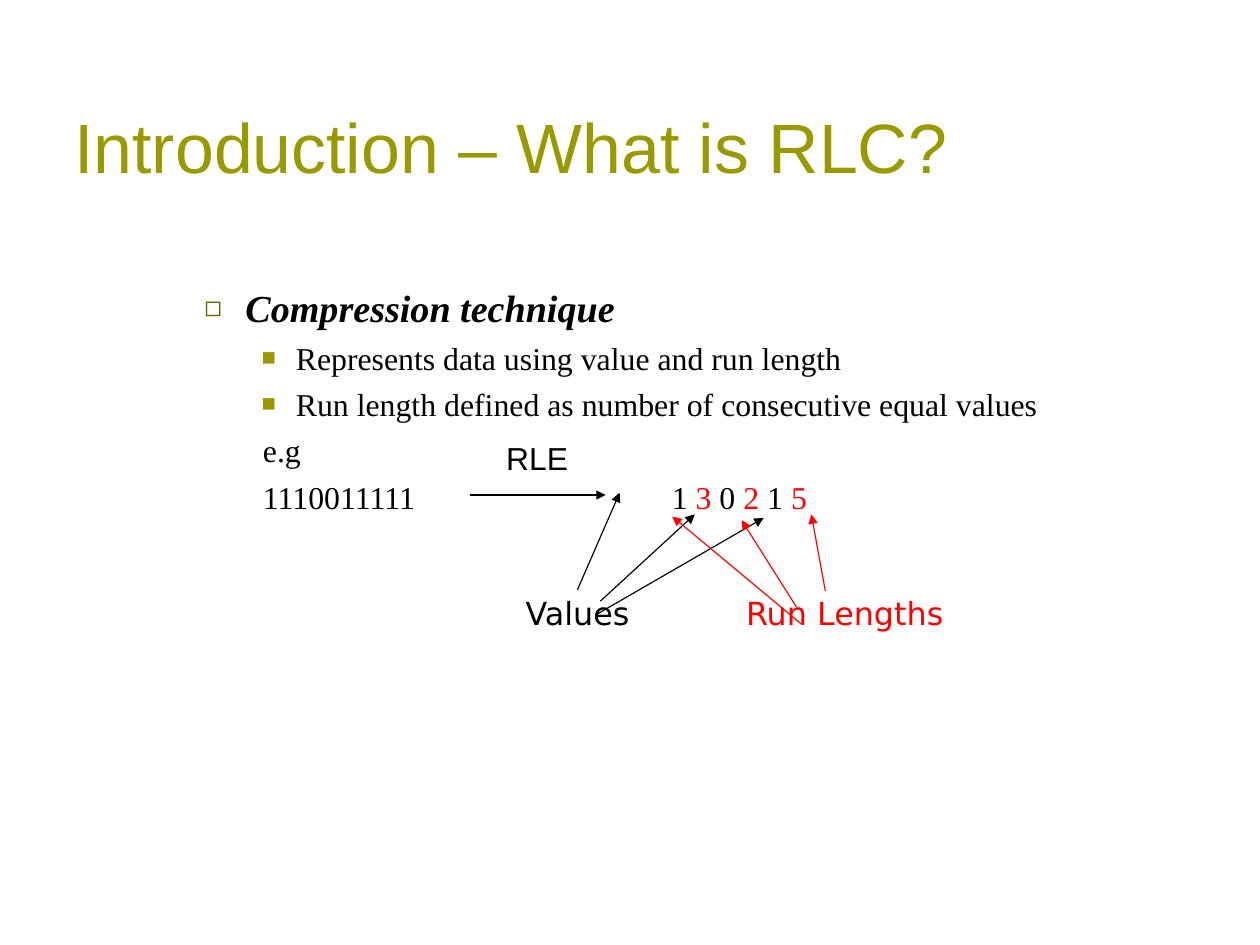
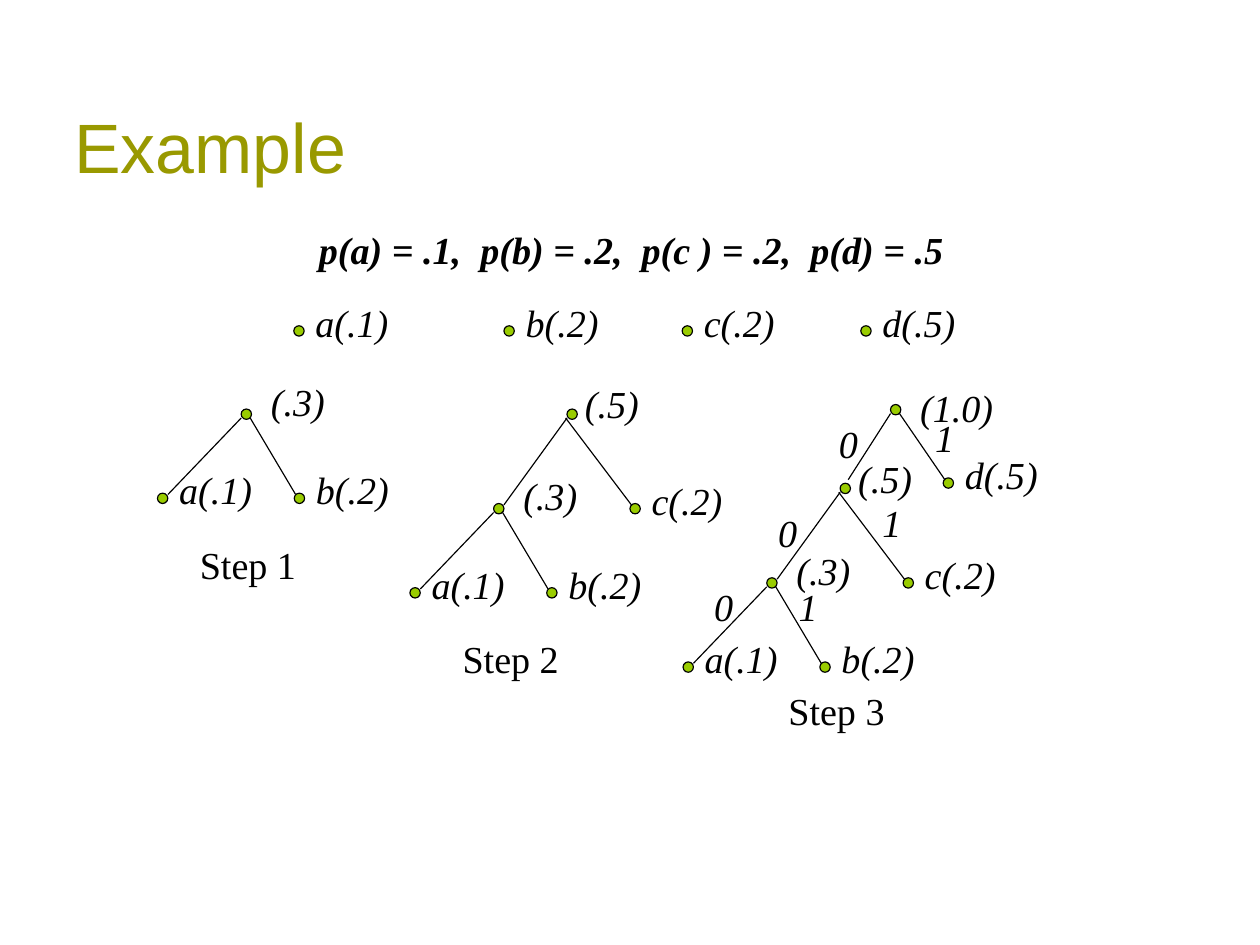
from lxml import etree
from pptx import Presentation
from pptx.dml.color import RGBColor
from pptx.enum import shapes, text
from pptx.oxml.ns import qn
from pptx.util import Cm, Pt

OLIVE = RGBColor(0x99, 0x99, 0x00)
MOSS = RGBColor(0x66, 0x66, 0x00)
LIME = RGBColor(0x99, 0xCC, 0x00)
BLACK = RGBColor(0, 0, 0)
RED = RGBColor(0xFF, 0, 0)
SANS, SERIF, WIDE = "Arial", "Times New Roman", "DejaVu Sans"

# Lengths are in centimetres.
TITLE = (1.4, 0.86, 25.2, 3.48)

# text, size, bold italic, space before, margin, indent, bullet and its colour
POINTS = [
    ("Compression technique", 24, True, 0, 0.91, -0.91, ("◻", MOSS)),
    ("Represents data using value and run length",
     20, False, 5, 2.03, -0.76, ("■", OLIVE)),
    ("Run length defined as number of consecutive equal values",
     20, False, 5, 2.03, -0.76, ("■", OLIVE)),
    ("e.g", 20, False, 5, 1.3, 0, None),
    ("1110011111", 20, False, 6, 1.3, 0, None),
]
ODDS = [("p(a) = .1,  p(b) = .2,  p(c ) = .2,  p(d) = .5",
         24, True, 0, 0.05, 0, None)]

ARROWS = [
    (10.44, 11, 13.46, 11, BLACK),
    (12.83, 13.11, 13.77, 10.95, BLACK),
    (13.34, 13.36, 15.44, 11.43, BLACK),
    (13.23, 13.67, 16.97, 11.51, BLACK),
    (17.81, 13.87, 14.94, 11.48, RED),
    (17.7, 13.49, 16.48, 11.56, RED),
    (18.34, 13.13, 18.03, 11.43, RED),
]
CODE = [("1 ", BLACK), ("3", RED), (" 0 ", BLACK), ("2", RED),
        (" 1 ", BLACK), ("5", RED)]
NOTES = [
    (CODE, 14.68, 10.49, SERIF),
    ([("RLE", BLACK)], 11, 9.62, SANS),
    ([("Values", BLACK)], 11.43, 13.06, WIDE),
    ([("Run Lengths", RED)], 16.33, 13.06, WIDE),
]

DOT = 0.23
LEAVES = [("a(.1)", 6.53), ("b(.2)", 11.2), ("c(.2)", 15.16), ("d(.5)", 19.13)]
LEAF_Y = 7.24
# children of each node: text and offset from the parent
KIDS = {
    "(.3)": (("a(.1)", -1.86, 1.87), ("b(.2)", 1.18, 1.87)),
    "(.5)": (("(.3)", -1.63, 2.1), ("c(.2)", 1.4, 2.1)),
    "(1.0)": (("(.5)", -1.12, 1.75), ("d(.5)", 1.17, 1.63)),
}
# offsets of the "0" and "1" from the parent
BITS = {
    "(.3)": ((-1.42, 0), (0.46, 0)),
    "(.5)": ((-1.63, 0.46), (0.69, 0.23)),
    "(1.0)": ((-1.4, 0.23), (0.74, 0.1)),
}
LABEL = {"(.3)": (0.41, -0.81), "(.5)": (0.15, -0.75), "(1.0)": (0.41, -0.58)}
LEAF_LABEL = (0.23, -0.71)
# root, its place, caption, its place, branches marked
STEPS = [
    ("(.3)", 5.36, 9.09, "Step 1", 4.19, 11.91, False),
    ("(.5)", 12.6, 9.09, "Step 2", 10.03, 14, False),
    ("(1.0)", 19.79, 8.99, "Step 3", 17.27, 15.16, True),
]


def place(shape, *box):
    shape.left, shape.top, shape.width, shape.height = map(Cm, box)


def write(para, words, size, face, color, strong=False, slant=False):
    run = para.add_run()
    run.text = words
    font = run.font
    font.size, font.name, font.bold, font.italic = Pt(size), face, strong, slant
    font.color.rgb = color


def sub(node, tag, **attrs):
    return etree.SubElement(node, qn(tag), attrs)


def mark(para, margin, indent, bullet):
    """Set the indents and bullet of a paragraph."""
    props = para._p.get_or_add_pPr()
    props.set("marL", str(Cm(margin)))
    props.set("indent", str(Cm(indent)))
    if bullet:
        char, color = bullet
        sub(sub(props, "a:buClr"), "a:srgbClr", val=str(color))
        sub(props, "a:buSzPct", val="75000")
        sub(props, "a:buChar", char=char)
    else:
        sub(props, "a:buNone")


def start(deck, title, rows, box, align):
    """Add a slide with its title and body text."""
    slide = deck.slides.add_slide(deck.slide_layouts[1])
    head, body = slide.placeholders
    place(head, *TITLE)
    frame = head.text_frame
    frame.auto_size = text.MSO_AUTO_SIZE.NONE
    frame.vertical_anchor = text.MSO_ANCHOR.BOTTOM
    para = frame.paragraphs[0]
    para.alignment = text.PP_ALIGN.LEFT
    para.line_spacing = 0.94
    write(para, title, 44, SANS, OLIVE)

    place(body, *box)
    frame = body.text_frame
    frame.auto_size = text.MSO_AUTO_SIZE.NONE
    for i, (words, size, strong, gap, margin, indent, bullet) in enumerate(rows):
        para = frame.add_paragraph() if i else frame.paragraphs[0]
        para.level = 1 if i else 0
        para.alignment = align
        para.space_before = Pt(gap)
        mark(para, margin, indent, bullet)
        write(para, words, size, SERIF, BLACK, strong, strong)
    return slide


def line(slide, x1, y1, x2, y2, color=BLACK, arrow=False):
    link = slide.shapes.add_connector(
        shapes.MSO_CONNECTOR.STRAIGHT, Cm(x1), Cm(y1), Cm(x2), Cm(y2))
    link.line.color.rgb = color
    link.line.width = Pt(0.75)
    if arrow:
        sub(link.line._get_or_add_ln(), "a:tailEnd", type="triangle")
    sub(link._element.spPr, "a:effectLst")


def label(slide, runs, x, y, size=24, face=SERIF, slant=True, wide=2.7):
    box = slide.shapes.add_textbox(Cm(x), Cm(y), Cm(wide), Cm(1.27))
    box.text_frame.word_wrap = True
    for words, color in runs:
        write(box.text_frame.paragraphs[0], words, size, face, color, slant=slant)


def node(slide, words, x, y):
    """Draw a dot with its label."""
    dot = slide.shapes.add_shape(
        shapes.MSO_SHAPE.OVAL, Cm(x), Cm(y), Cm(DOT), Cm(DOT))
    dot.shadow.inherit = False
    dot.fill.solid()
    dot.fill.fore_color.rgb = LIME
    dot.line.color.rgb = BLACK
    dot.line.width = Pt(0.75)
    dx, dy = LABEL.get(words, LEAF_LABEL)
    label(slide, [(words, BLACK)], x + dx, y + dy)


def tree(slide, words, x, y, bits):
    """Draw a node and all that hangs below it."""
    node(slide, words, x, y)
    for side, (kid, dx, dy) in enumerate(KIDS.get(words, ())):
        low = (0.03, 0.03) if side else (0.18, -0.08) if kid == "(.5)" else (DOT, 0.03)
        top = 0 if not side else -0.03 if words == "(.5)" else 0.2
        line(slide, x + dx + low[0], y + dy + low[1], x + top, y + 0.2)
        tree(slide, kid, x + dx, y + dy, bits)
        if bits:
            bx, by = BITS[words][side]
            label(slide, [(str(side), BLACK)], x + bx, y + by, wide=0.95)


def intro(deck):
    slide = start(deck, "Introduction – What is RLC?", POINTS,
                  (4.29, 6.2, 23.5, 13.87), text.PP_ALIGN.LEFT)
    for x1, y1, x2, y2, color in ARROWS:
        line(slide, x1, y1, x2, y2, color, True)
    for runs, x, y, face in NOTES:
        label(slide, runs, x, y, 20, face, False, 5.4)


def sample(deck):
    slide = start(deck, "Example", ODDS, (1.4, 4.9, 25.2, 13.87),
                  text.PP_ALIGN.CENTER)
    for words, x in LEAVES:
        node(slide, words, x, LEAF_Y)
    for root, x, y, step, sx, sy, bits in STEPS:
        tree(slide, root, x, y, bits)
        label(slide, [(step, BLACK)], sx, sy, slant=False)


def main():
    deck = Presentation()
    deck.slide_width, deck.slide_height = Cm(28), Cm(21)
    intro(deck)
    sample(deck)
    deck.save("out.pptx")


if __name__ == "__main__":
    main()
